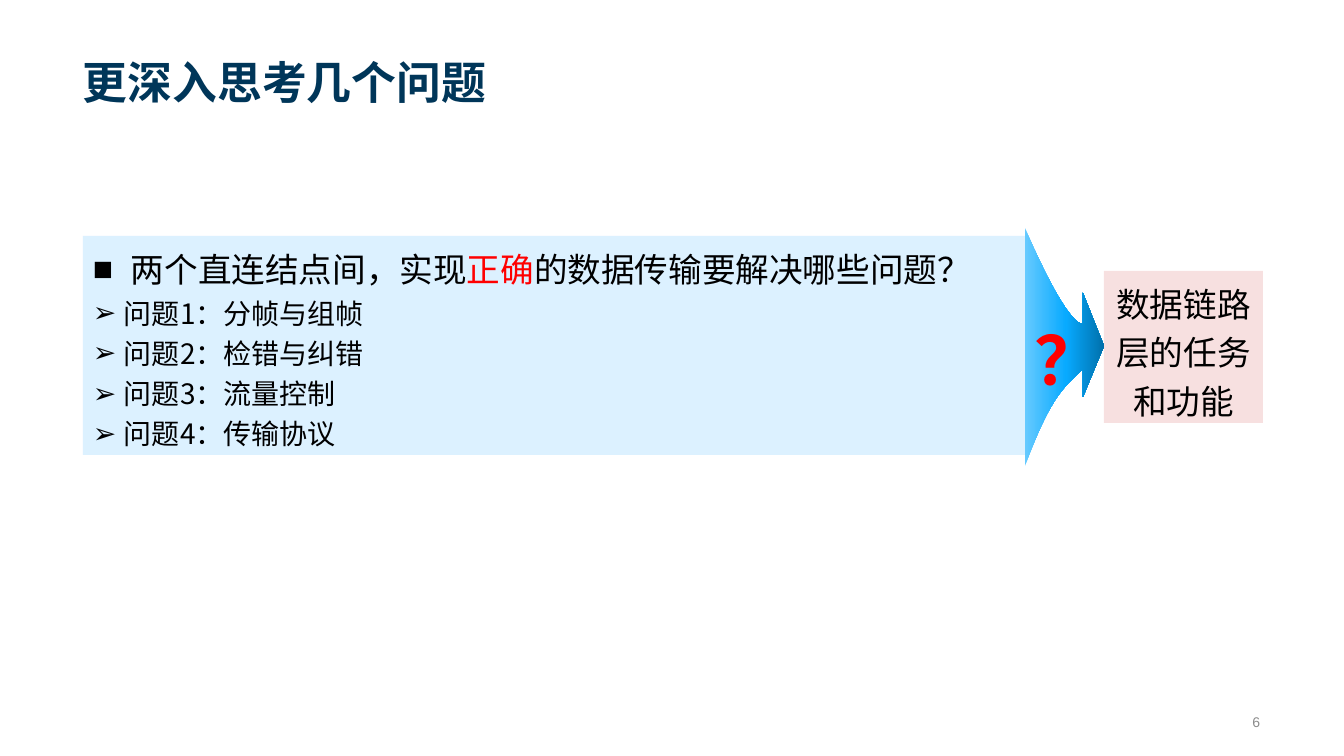
from dataclasses import dataclass

from lxml import etree
from pptx import Presentation
from pptx.dml.color import RGBColor
from pptx.enum.lang import MSO_LANGUAGE_ID
from pptx.enum.shapes import MSO_SHAPE
from pptx.enum.text import MSO_ANCHOR, PP_ALIGN
from pptx.oxml import parse_xml
from pptx.oxml.ns import nsdecls, qn
from pptx.util import Pt

RECTANGLE = MSO_SHAPE.RECTANGLE
TOP, MIDDLE, BOTTOM = MSO_ANCHOR.TOP, MSO_ANCHOR.MIDDLE, MSO_ANCHOR.BOTTOM
LEFT, CENTER, RIGHT = PP_ALIGN.LEFT, PP_ALIGN.CENTER, PP_ALIGN.RIGHT
CHINESE = MSO_LANGUAGE_ID.SIMPLIFIED_CHINESE
PX = 914400 / 100.8


@dataclass
class Theme:
    latin: str = "Arial"
    chinese: str = "Noto Sans CJK SC"
    navy: str = "003659"
    black: str = "000000"
    red: str = "FF0000"
    gray: str = "8C8C8C"
    pale_blue: str = "D5EEFF"
    dark_red: str = "C00000"
    gradient: tuple = ((0, "66CAFF"), (52, "08AAFF"), (100, "0070AB"))
    title_size: int = 32
    mark_size: int = 48
    lead_size: int = 24
    item_size: int = 20
    number_size: int = 10


theme = Theme()


def add_box(bounds, anchor=TOP, fill=None, opacity=100):
    place = [round(value * PX) for value in bounds]
    if fill:
        box = slide.shapes.add_shape(RECTANGLE, *place)
        box.shadow.inherit = False
        box.line.fill.background()
        box.fill.solid()
        box.fill.fore_color.rgb = RGBColor.from_string(fill)
        color = box.fill._xPr.find(".//" + qn("a:srgbClr"))
        etree.SubElement(color, qn("a:alpha"), val=str(opacity * 1000))
    else:
        box = slide.shapes.add_textbox(*place)
    box.text_frame.word_wrap = True
    box.text_frame.vertical_anchor = anchor
    return box.text_frame


def write(para, pieces, size, font=theme.latin, bold=False, align=LEFT, spacing=1.2):
    para.alignment = align
    para.line_spacing = spacing
    for text, color in pieces:
        span = para.add_run()
        span.text = text
        span.font.name = font
        span.font.size = Pt(size)
        span.font.bold = bold
        span.font.color.rgb = RGBColor.from_string(color)
        span.font.language_id = CHINESE
        span.font._element.find(qn("a:latin")).addnext(
            parse_xml(f'<a:ea {nsdecls("a")} typeface="{theme.chinese}"/>'))


deck = Presentation()
deck.slide_width, deck.slide_height = round(1344 * PX), round(756 * PX)
slide = deck.slides.add_slide(deck.slide_layouts[6])

page_number = add_box((1151, 707, 119, 30), MIDDLE)
write(page_number.paragraphs[0], [("6", theme.gray)], theme.number_size, align=RIGHT, spacing=1)

title = add_box((73, 14, 1198, 99), BOTTOM)
write(title.paragraphs[0], [("更深入思考几个问题", theme.navy)], theme.title_size, theme.chinese, True)

questions = add_box((83, 236, 942, 219), fill=theme.pale_blue, opacity=82)
lead = [("两个直连结点间，实现", theme.black), ("正确", theme.red),
        ("的数据传输要解决哪些问题？", theme.black)]
topics = ["分帧与组帧", "检错与纠错", "流量控制", "传输协议"]
rows = [("■", 38, lead, theme.lead_size, theme.latin)]
for number, topic in enumerate(topics, 1):
    rows.append(("➢", 31, [(f"问题{number}：{topic}", theme.black)], theme.item_size, theme.chinese))
for index, (bullet, indent, pieces, size, font) in enumerate(rows):
    para = questions.add_paragraph() if index else questions.paragraphs[0]
    properties = para._p.get_or_add_pPr()
    properties.set("marL", str(round(indent * PX)))
    properties.set("indent", str(-round(indent * PX)))
    etree.SubElement(properties, qn("a:buFont"), typeface=theme.latin)
    etree.SubElement(properties, qn("a:buChar"), char=bullet)
    write(para, pieces, size, font)

lower_curve = [(1025, 466), (1049, 401), (1062, 388), (1083, 369)]
head = [(1083, 397), (1104, 346), (1083, 293)]
upper_curve = [(1083, 324), (1065, 324), (1025, 228), (1025, 228)]
outline = []
for curve, tail in ((lower_curve, head), (upper_curve, [])):
    for step in range(25):
        t = step / 24
        weights = ((1 - t) ** 3, 3 * t * (1 - t) ** 2, 3 * t * t * (1 - t), t ** 3)
        outline.append(tuple(sum(weight * point[axis] for weight, point in zip(weights, curve))
                             for axis in (0, 1)))
    outline += tail
builder = slide.shapes.build_freeform(
    round(outline[0][0] * PX), round(outline[0][1] * PX))
builder.add_line_segments([(round(x * PX), round(y * PX)) for x, y in outline[1:]], close=True)
arrow = builder.convert_to_shape()
arrow.shadow.inherit = False
arrow.line.fill.background()
stops = "".join(f'<a:gs pos="{place * 1000}"><a:srgbClr val="{color}"/></a:gs>'
                for place, color in theme.gradient)
arrow._element.spPr.find(qn("a:custGeom")).addnext(parse_xml(
    f'<a:gradFill {nsdecls("a")} rotWithShape="1"><a:gsLst>{stops}</a:gsLst>'
    '<a:lin ang="0" scaled="0"/></a:gradFill>'))

mark = add_box((1025, 297, 89, 100))
mark.word_wrap = False
write(mark.paragraphs[0], [("？", theme.red)], theme.mark_size, bold=True)

answer = add_box((1104, 271, 159, 152), fill=theme.dark_red, opacity=12)
write(answer.paragraphs[0], [("数据链路层的任务和功能", theme.black)], theme.lead_size, align=CENTER)

deck.save("out.pptx")
